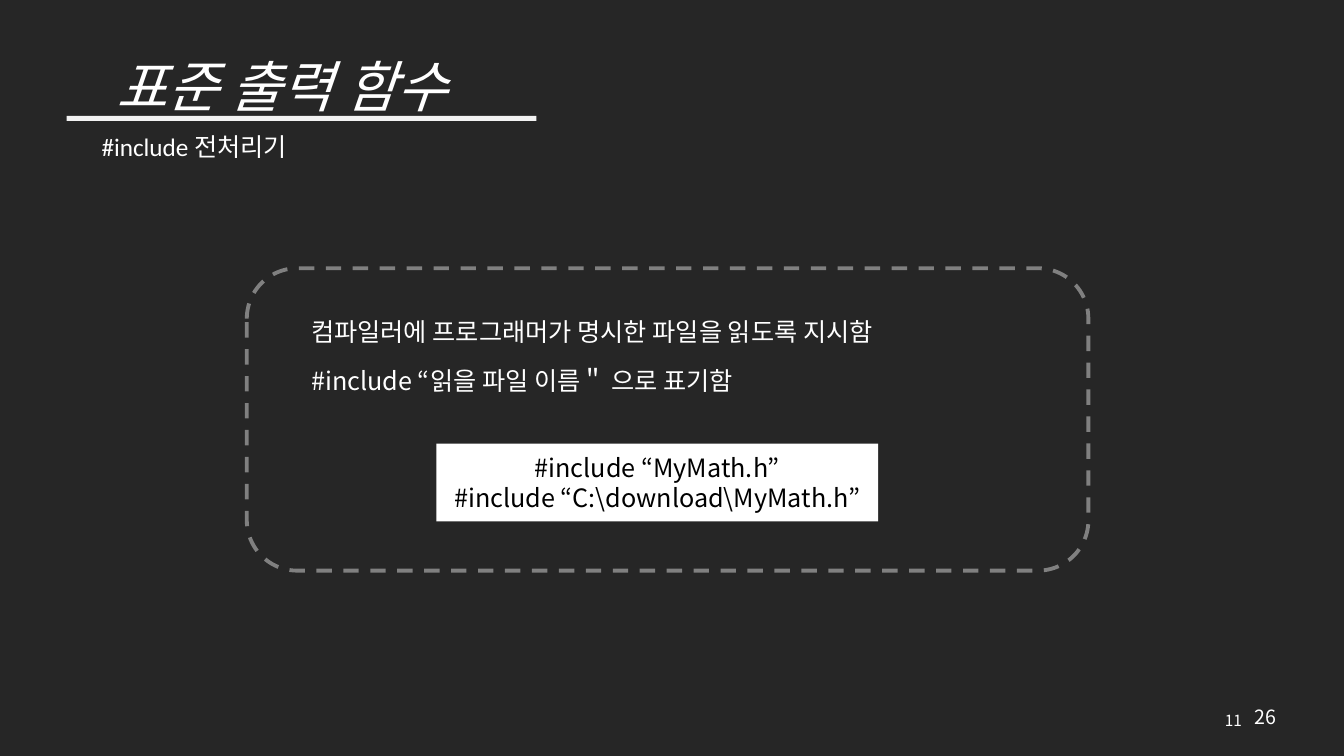
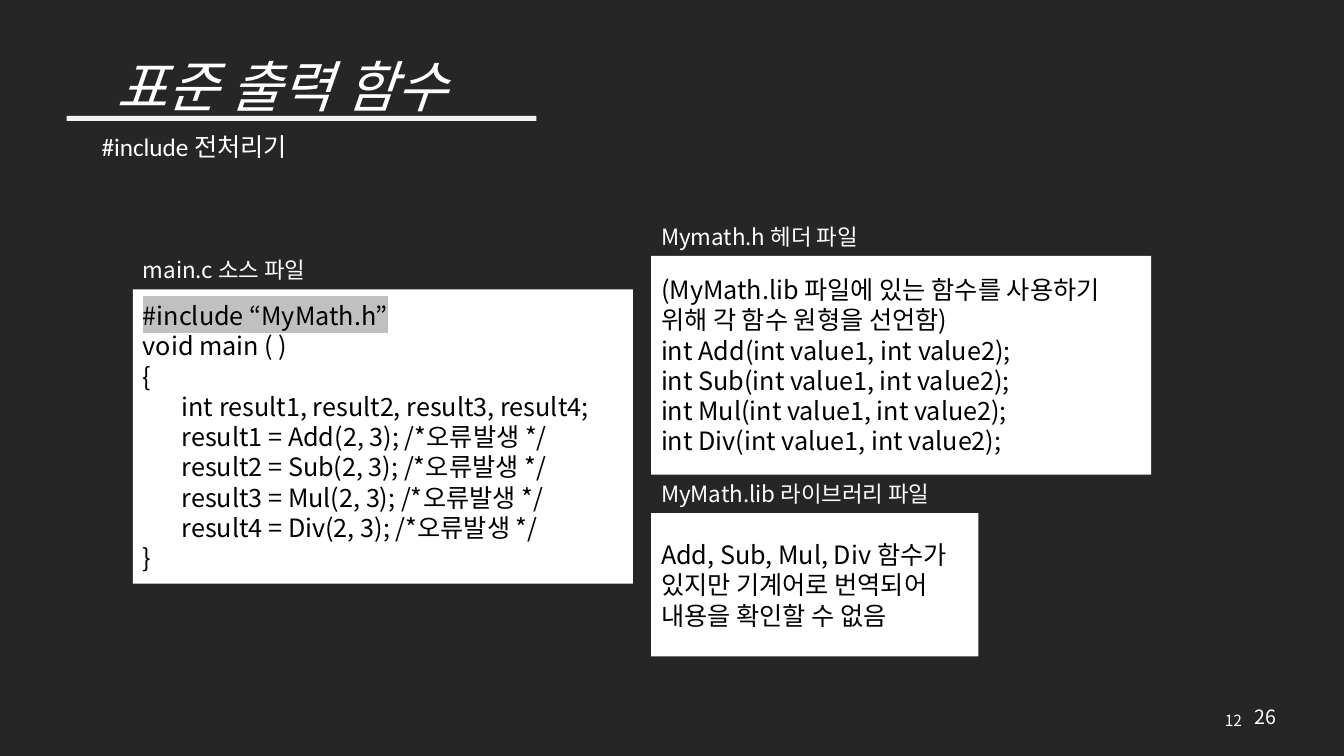
from dataclasses import dataclass

from lxml.etree import SubElement
from pptx import Presentation
from pptx.dml.color import RGBColor
from pptx.enum.dml import MSO_LINE
from pptx.enum.shapes import MSO_SHAPE
from pptx.enum.text import MSO_ANCHOR, MSO_AUTO_SIZE, PP_ALIGN
from pptx.oxml.ns import qn
from pptx.slide import Slide
from pptx.util import Cm, Pt

FONT = "Noto Sans CJK KR"
LATIN_FONT = "Calibri"
BACKGROUND, WHITE, BLACK = "262626", "FFFFFF", "000000"
RULE, DASH, HIGHLIGHT = "F2F2F2", "808080", "C0C0C0"
CAPTION_HEIGHT = 0.95
CODE_INDENT = 0.98
TOTAL_PAGES = 26
TITLE_ONLY, TITLE_AND_BODY = 5, 1


@dataclass(frozen=True)
class Box:
    """Left, top, width and height in centimetres."""
    left: float
    top: float
    width: float
    height: float

    def lengths(self) -> tuple[Cm, Cm, Cm, Cm]:
        return Cm(self.left), Cm(self.top), Cm(self.width), Cm(self.height)


@dataclass(frozen=True)
class Line:
    text: str
    indented: bool = False
    highlighted: bool = False


@dataclass(frozen=True)
class Panel:
    box: Box
    lines: tuple[Line, ...]
    caption: str = ""
    align: PP_ALIGN = PP_ALIGN.LEFT


def rgb(value: str) -> RGBColor:
    return RGBColor.from_string(value)


# Text
def format_paragraph(paragraph, size: float, color: str = WHITE,
                     font: str = FONT, italic: bool = False) -> None:
    for run in paragraph.runs:
        run.font.size = Pt(size)
        run.font.name = font
        run.font.italic = italic
        run.font.color.rgb = rgb(color)
        SubElement(run.font._element, qn("a:ea"), typeface=font)


def highlight(paragraph) -> None:
    for run in paragraph.runs:
        properties = run.font._element
        mark = SubElement(properties, qn("a:highlight"))
        SubElement(mark, qn("a:srgbClr"), val=HIGHLIGHT)
        properties.find(qn("a:latin")).addprevious(mark)


def place(shape, box: Box) -> None:
    shape.left, shape.top, shape.width, shape.height = box.lengths()


def add_label(slide: Slide, box: Box, text: str, size: float, font: str = FONT,
              align: PP_ALIGN = PP_ALIGN.LEFT,
              anchor: MSO_ANCHOR = MSO_ANCHOR.TOP) -> None:
    frame = slide.shapes.add_textbox(*box.lengths()).text_frame
    frame.word_wrap = True
    frame.vertical_anchor = anchor
    frame.text = text
    frame.paragraphs[0].alignment = align
    format_paragraph(frame.paragraphs[0], size, font=font)


# Shapes
def add_block(slide: Slide, box: Box, color: str):
    block = slide.shapes.add_shape(MSO_SHAPE.RECTANGLE, *box.lengths())
    block.shadow.inherit = False
    block.fill.solid()
    block.fill.fore_color.rgb = rgb(color)
    block.line.fill.background()
    return block


def add_dashed_frame(slide: Slide, box: Box) -> None:
    outline = slide.shapes.add_shape(MSO_SHAPE.ROUNDED_RECTANGLE, *box.lengths())
    outline.shadow.inherit = False
    outline.fill.background()
    outline.line.color.rgb = rgb(DASH)
    outline.line.width = Pt(2.75)
    outline.line.dash_style = MSO_LINE.DASH


def add_panel(slide: Slide, panel: Panel) -> None:
    frame = add_block(slide, panel.box, WHITE).text_frame
    frame.word_wrap = True
    frame.vertical_anchor = MSO_ANCHOR.MIDDLE
    frame.text = "\n".join(line.text for line in panel.lines)
    for paragraph, line in zip(frame.paragraphs, panel.lines):
        paragraph.alignment = panel.align
        format_paragraph(paragraph, 18, BLACK)
        if line.indented:
            paragraph._p.get_or_add_pPr().set("marL", str(Cm(CODE_INDENT)))
        if line.highlighted:
            highlight(paragraph)
    if panel.caption:
        caption_box = Box(panel.box.left, panel.box.top - CAPTION_HEIGHT,
                          9, CAPTION_HEIGHT)
        add_label(slide, caption_box, panel.caption, 16)


def fill_body(slide: Slide, box: Box, statements: tuple[str, ...]) -> None:
    body = slide.placeholders[1]
    place(body, box)
    frame = body.text_frame
    frame.auto_size = MSO_AUTO_SIZE.NONE
    frame.text = "\n".join(statements)
    for index, paragraph in enumerate(frame.paragraphs):
        paragraph.space_before = Pt(13 if index else 0)
        format_paragraph(paragraph, 18)
        properties = paragraph._p.get_or_add_pPr()
        properties.set("marL", "0")
        properties.set("indent", "0")
        SubElement(properties, qn("a:buNone"))


# Title, rule, subtitle and page numbers shared by the slides
def add_page(deck, layout: int, page: int) -> Slide:
    slide = deck.slides.add_slide(deck.slide_layouts[layout])
    title = slide.shapes.title
    place(title, Box(1.55, 1.45, 11.1, 1.6))
    frame = title.text_frame
    frame.auto_size = MSO_AUTO_SIZE.NONE
    frame.vertical_anchor = MSO_ANCHOR.MIDDLE
    frame.text = "표준 출력 함수"
    frame.paragraphs[0].alignment = PP_ALIGN.CENTER
    frame.paragraphs[0].line_spacing = 0.9
    format_paragraph(frame.paragraphs[0], 39.6, italic=True)

    add_block(slide, Box(1.68, 2.92, 11.84, 0.13), RULE)
    add_label(slide, Box(2.31, 3.18, 7.26, 1.02), "#include 전처리기", 18, LATIN_FONT)
    add_label(slide, Box(28.35, 17.65, 3.2, 1.02), str(page), 11,
              align=PP_ALIGN.RIGHT, anchor=MSO_ANCHOR.MIDDLE)
    add_label(slide, Box(31.37, 17.65, 1.2, 0.86), str(TOTAL_PAGES), 14)
    return slide


INCLUDE_EXAMPLE = Panel(
    Box(11, 11.18, 11.13, 1.96),
    (Line("#include “MyMath.h”"), Line("#include “C:\\download\\MyMath.h”")),
    align=PP_ALIGN.CENTER)

OPERATIONS = ("Add", "Sub", "Mul", "Div")

SOURCE_FILES = (
    Panel(
        Box(16.41, 6.45, 12.6, 5.51),
        (Line("(MyMath.lib 파일에 있는 함수를 사용하기 위해 각 함수 원형을 선언함)"),
         *(Line(f"int {name}(int value1, int value2);") for name in OPERATIONS)),
        "Mymath.h 헤더 파일"),
    Panel(
        Box(16.41, 12.93, 8.25, 3.61),
        (Line("Add, Sub, Mul, Div 함수가 있지만 기계어로 번역되어 내용을 확인할 수 없음"),),
        "MyMath.lib 라이브러리 파일"),
    Panel(
        Box(3.35, 7.29, 12.6, 7.42),
        (Line("#include “MyMath.h”", highlighted=True),
         Line("void main ( )"),
         Line("{"),
         Line("int result1, result2, result3, result4;", indented=True),
         *(Line(f"result{number} = {name}(2, 3); /*오류발생 */", indented=True)
           for number, name in enumerate(OPERATIONS, 1)),
         Line("}")),
        "main.c 소스 파일"),
)


def main() -> None:
    deck = Presentation()
    deck.slide_width, deck.slide_height = Cm(33.87), Cm(19.05)
    backdrop = deck.slide_master.background.fill
    backdrop.solid()
    backdrop.fore_color.rgb = rgb(BACKGROUND)

    # What the directive does
    directive = add_page(deck, TITLE_AND_BODY, 11)
    add_dashed_frame(directive, Box(6.22, 6.76, 21.21, 7.62))
    fill_body(directive, Box(7.59, 7.85, 17.93, 2.4),
              ("컴파일러에 프로그래머가 명시한 파일을 읽도록 지시함",
               "#include “읽을 파일 이름＂ 으로 표기함"))
    add_panel(directive, INCLUDE_EXAMPLE)

    # The files it joins
    files = add_page(deck, TITLE_ONLY, 12)
    for panel in SOURCE_FILES:
        add_panel(files, panel)

    deck.save("out.pptx")


if __name__ == "__main__":
    main()
